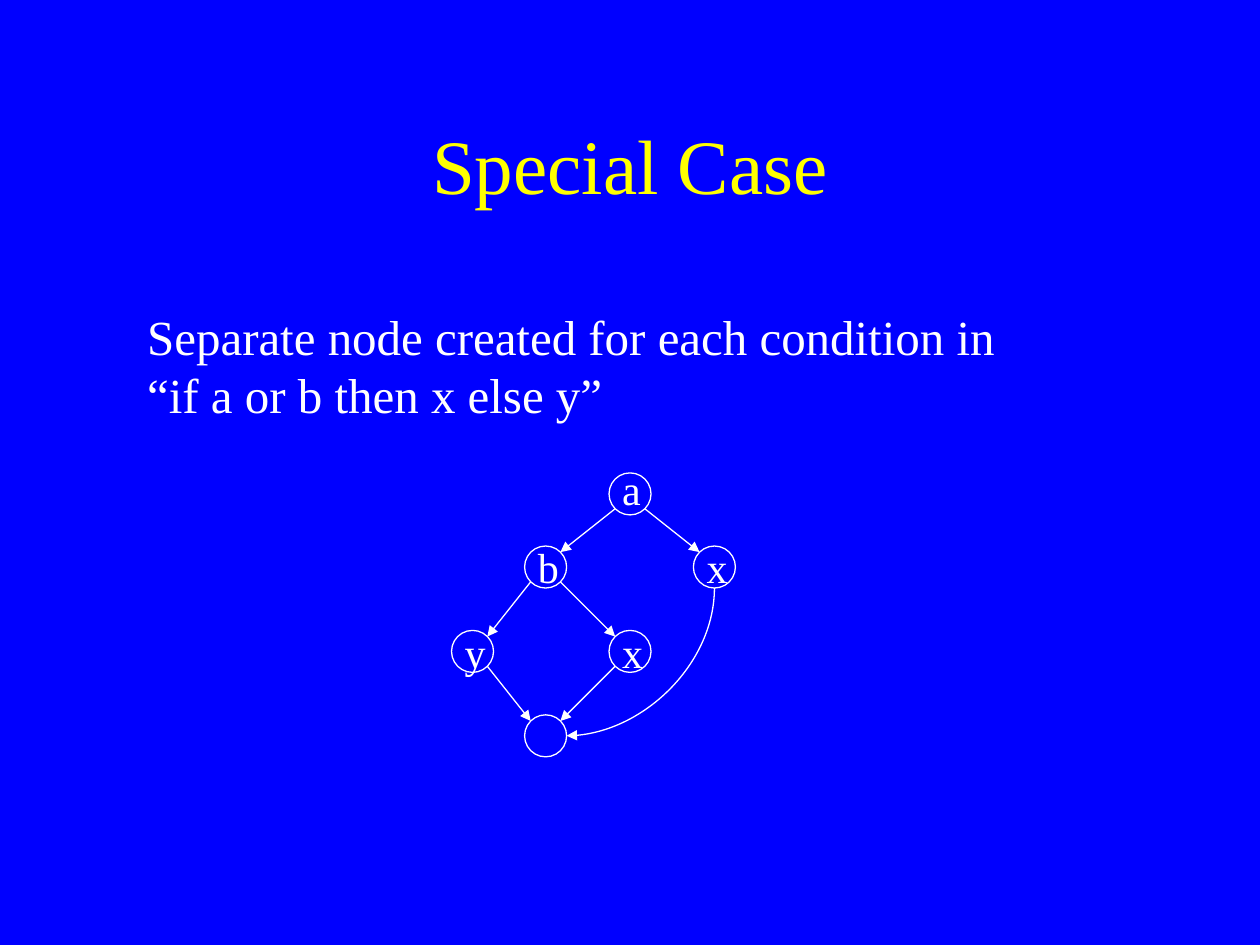
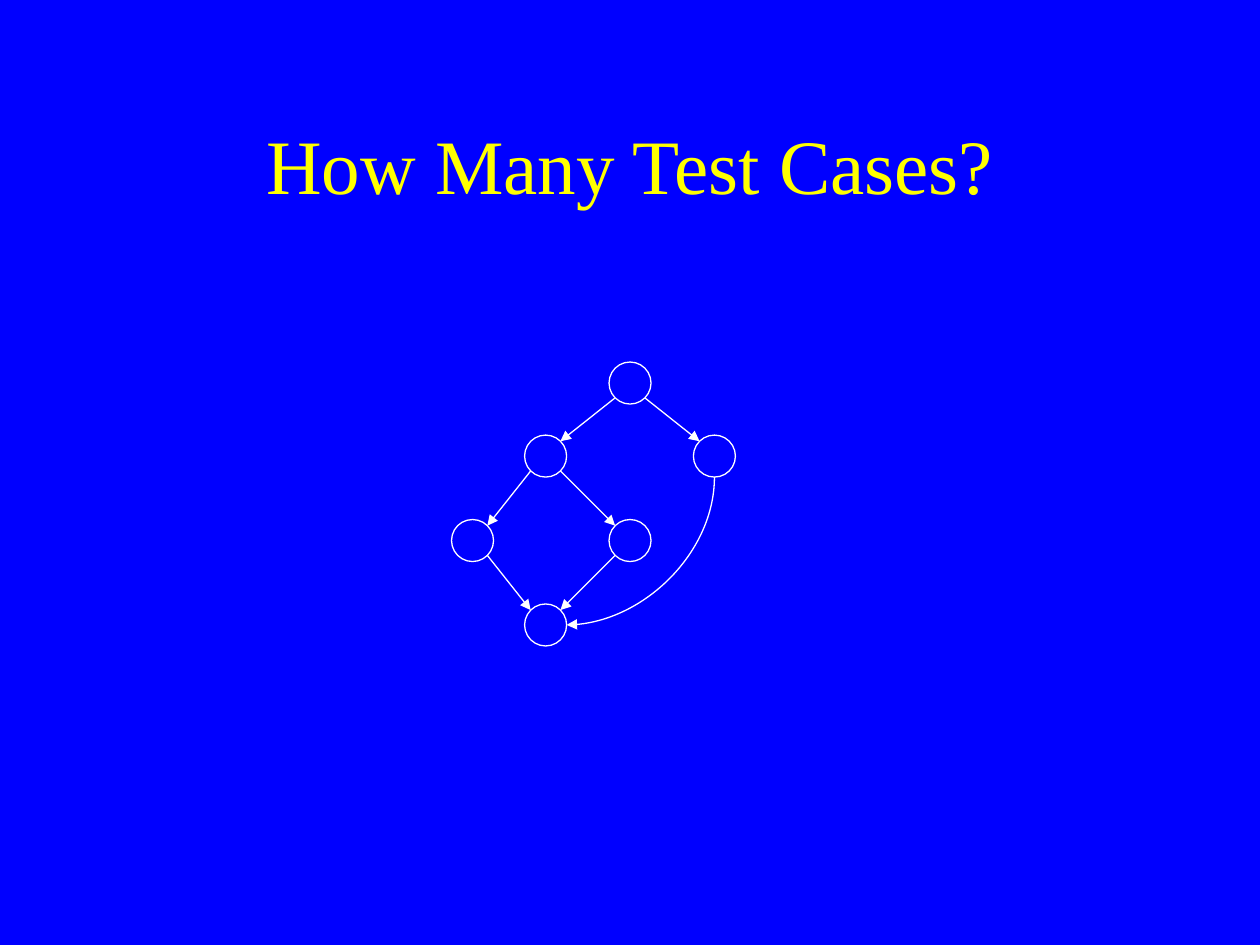
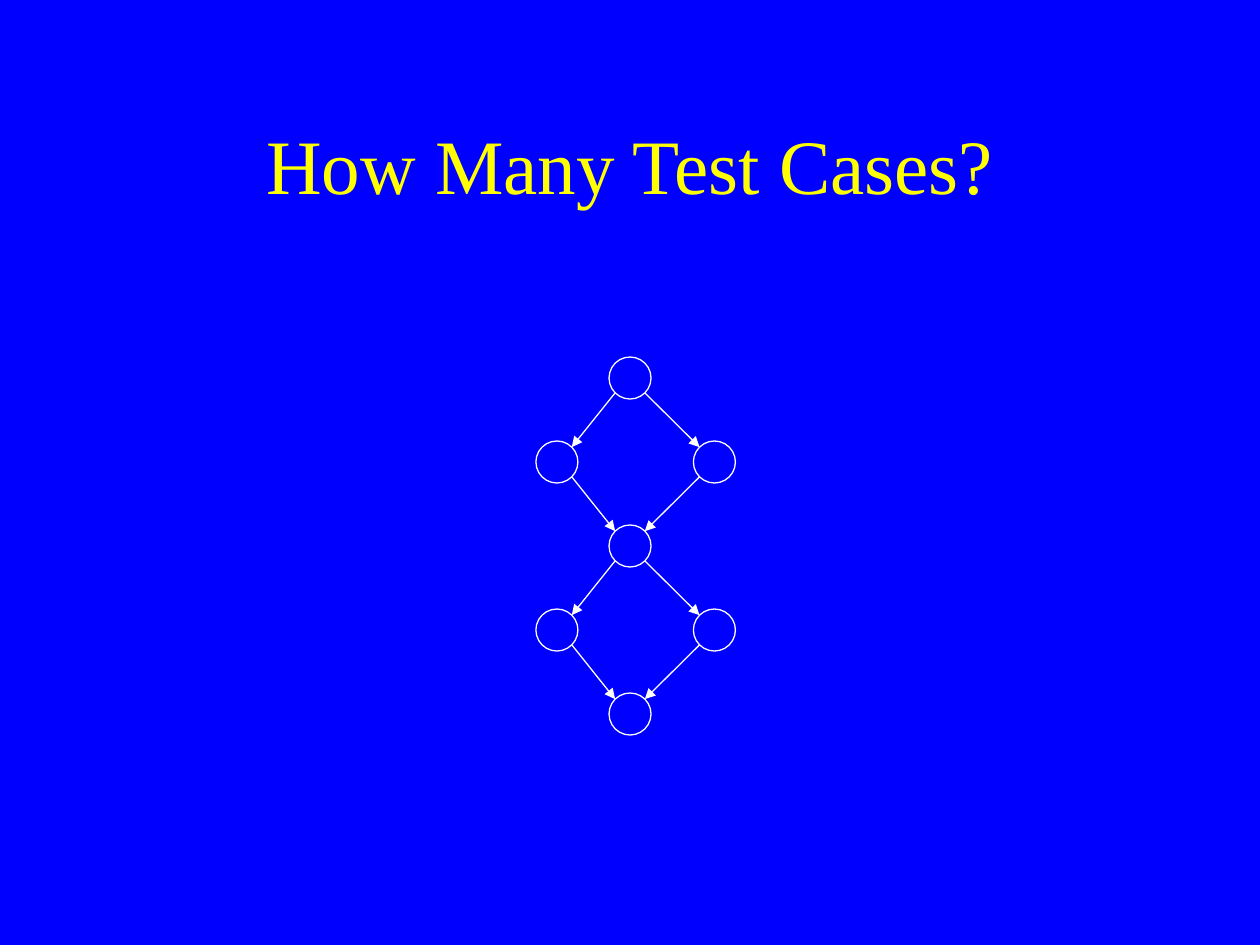
from dataclasses import dataclass
from math import copysign, sqrt

from pptx import Presentation
from pptx.dml.color import RGBColor
from pptx.enum.shapes import MSO_CONNECTOR as Link, MSO_SHAPE as Preset
from pptx.enum.text import MSO_ANCHOR as Anchor, MSO_AUTO_SIZE as Fit, PP_ALIGN as Align
from pptx.oxml.ns import qn
from pptx.oxml.xmlchemy import OxmlElement
from pptx.shapes.connector import Connector
from pptx.slide import Slide
from pptx.util import Inches, Pt

BLUE = RGBColor(0x00, 0x00, 0xFF)
YELLOW = RGBColor(0xFF, 0xFF, 0x00)
WHITE = RGBColor(0xFF, 0xFF, 0xFF)
FONT = "Times New Roman"
LINE_WIDTH = Pt(0.75)
RADIUS = 1 / 6
DIAGONAL = RADIUS / sqrt(2)
QUARTER_TURN = "5400000"


@dataclass(frozen=True)
class TextStyle:
    size: int
    color: RGBColor = WHITE
    align: Align = Align.LEFT
    anchor: Anchor = Anchor.TOP
    wrap: bool = True
    fit: Fit = Fit.SHAPE_TO_FIT_TEXT


@dataclass(frozen=True)
class Node:
    x: float
    y: float
    label: str = ""
    label_rise: float = 0.25


@dataclass(frozen=True)
class Graph:
    nodes: dict[str, Node]
    edges: list[tuple[str, str]]
    curves: list[tuple[str, str]]


TITLE = TextStyle(44, YELLOW, Align.CENTER, Anchor.MIDDLE, fit=Fit.NONE)
BODY = TextStyle(28)
LABEL = TextStyle(24, wrap=False)


def add_text(page: Slide, left: float, top: float, width: float, height: float,
             lines: list[str], style: TextStyle) -> None:
    box = page.shapes.add_textbox(Inches(left), Inches(top), Inches(width), Inches(height))
    frame = box.text_frame
    frame.word_wrap = style.wrap
    frame.auto_size = style.fit
    frame.vertical_anchor = style.anchor
    for index, line in enumerate(lines):
        para = frame.add_paragraph() if index else frame.paragraphs[0]
        para.alignment = style.align
        span = para.add_run()
        span.text = line
        span.font.name = FONT
        span.font.size = Pt(style.size)
        span.font.color.rgb = style.color


def add_node(page: Slide, node: Node) -> None:
    circle = page.shapes.add_shape(
        Preset.OVAL, Inches(node.x - RADIUS), Inches(node.y - RADIUS),
        Inches(2 * RADIUS), Inches(2 * RADIUS))
    circle.shadow.inherit = False
    circle.fill.background()
    circle.line.color.rgb = WHITE
    circle.line.width = LINE_WIDTH


def add_arrow(page: Slide, kind: Link, x1: float, y1: float, x2: float, y2: float) -> Connector:
    arrow = page.shapes.add_connector(kind, Inches(x1), Inches(y1), Inches(x2), Inches(y2))
    arrow.line.color.rgb = WHITE
    arrow.line.width = LINE_WIDTH
    head = OxmlElement("a:tailEnd")
    head.set("type", "triangle")
    arrow.line._get_or_add_ln().append(head)
    arrow.element.spPr.append(OxmlElement("a:effectLst"))
    return arrow


def add_edge(page: Slide, start: Node, end: Node) -> None:
    dx = copysign(DIAGONAL, end.x - start.x)
    dy = copysign(DIAGONAL, end.y - start.y)
    add_arrow(page, Link.STRAIGHT, start.x + dx, start.y + dy, end.x - dx, end.y - dy)


def add_curve(page: Slide, start: Node, end: Node) -> None:
    curve = add_arrow(page, Link.CURVE, end.x + RADIUS, start.y + RADIUS, start.x, end.y)
    properties = curve.element.spPr
    properties.find(qn("a:xfrm")).set("rot", QUARTER_TURN)
    properties.find(qn("a:prstGeom")).set("prst", "curvedConnector2")


def add_graph(page: Slide, graph: Graph) -> None:
    nodes = graph.nodes
    for node in nodes.values():
        add_node(page, node)
    for start, end in graph.edges:
        add_edge(page, nodes[start], nodes[end])
    for start, end in graph.curves:
        add_curve(page, nodes[start], nodes[end])
    for node in nodes.values():
        if node.label:
            add_text(page, node.x - 0.16, node.y - node.label_rise, 0.36, 0.5,
                     [node.label], LABEL)


def condition_graph(top: float, labelled: bool) -> Graph:
    nodes = {
        "end": Node(4.33, top + 1.92),
        "else": Node(3.75, top + 1.25, "y" if labelled else ""),
        "then": Node(5, top + 1.25, "x" if labelled else ""),
        "second": Node(4.33, top + 0.58, "b" if labelled else ""),
        "shortcut": Node(5.67, top + 0.58, "x" if labelled else ""),
        "first": Node(5, top, "a" if labelled else "", 0.29),
    }
    edges = [("first", "shortcut"), ("first", "second"), ("second", "else"),
             ("second", "then"), ("else", "end"), ("then", "end")]
    return Graph(nodes, edges, [("shortcut", "end")])


def diamond_chain(top: float, count: int) -> Graph:
    step = 2 / 3
    nodes = {"join0": Node(5, top)}
    edges = []
    for index in range(count):
        y = top + 2 * index * step
        opening, closing = f"join{index}", f"join{index + 1}"
        nodes[closing] = Node(5, y + 2 * step)
        for side, x in (("left", 4.42), ("right", 5.67)):
            branch = f"{side}{index}"
            nodes[branch] = Node(x, y + step)
            edges += [(opening, branch), (branch, closing)]
    return Graph(nodes, edges, [])


def add_page(deck: Presentation, title: str) -> Slide:
    page = deck.slides.add_slide(deck.slide_layouts[6])
    page.background.fill.solid()
    page.background.fill.fore_color.rgb = BLUE
    add_text(page, 0.75, 0.67, 8.5, 1.25, [title], TITLE)
    return page


def main() -> None:
    deck = Presentation()
    deck.slide_width = Inches(10)
    deck.slide_height = Inches(7.5)

    special = add_page(deck, "Special Case")
    add_text(special, 1.07, 2.38, 7.93, 1.04,
             ["Separate node created for each condition in", "“if a or b then x else y”"], BODY)
    add_graph(special, condition_graph(3.92, labelled=True))

    for graph in (condition_graph(3.04, labelled=False), diamond_chain(3, count=2)):
        add_graph(add_page(deck, "How Many Test Cases?"), graph)

    deck.save("out.pptx")


if __name__ == "__main__":
    main()
